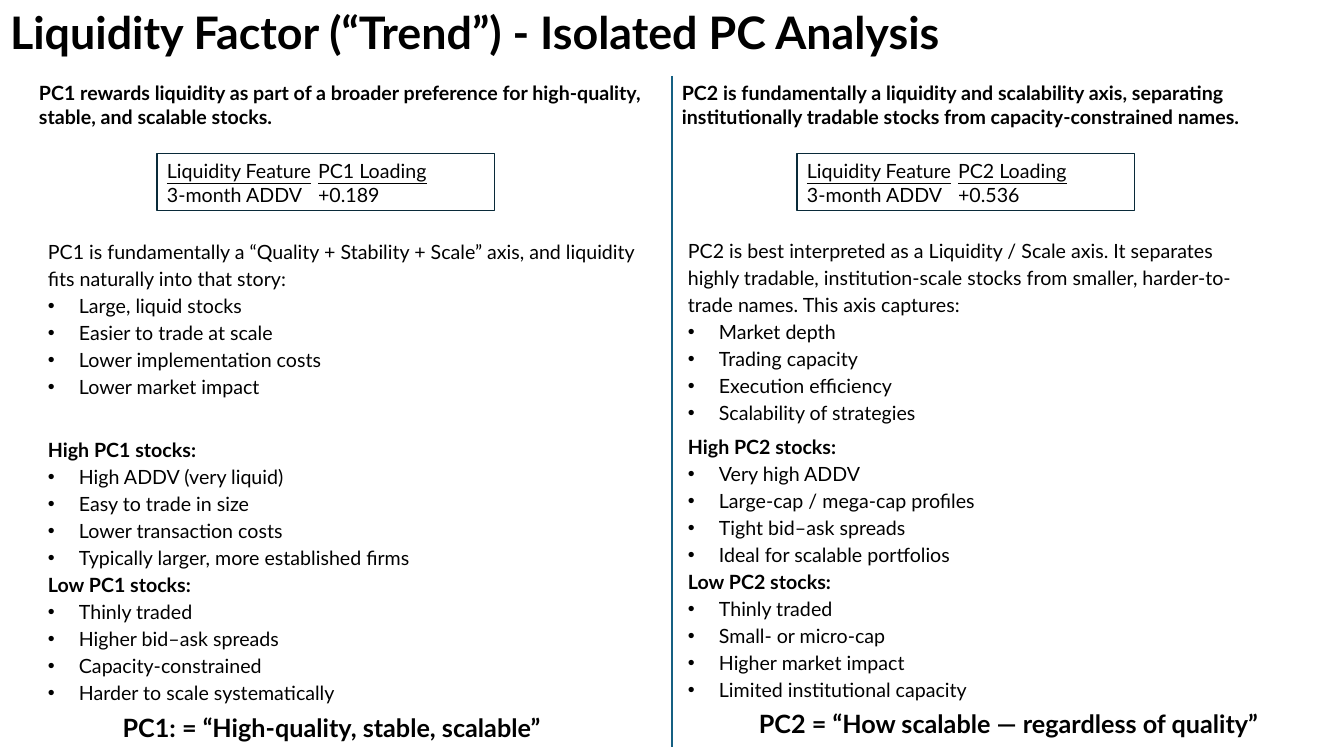
"""Build the slide comparing how PC1 and PC2 load on the liquidity factor."""
import pptx
import pptx.dml.color
import pptx.enum.shapes
import pptx.enum.text
import pptx.oxml
import pptx.util

PX = 914400 / 100.8
FONT = "Lato"
COLORS = {"text": "000000", "frame": "092A39", "divider": "156082"}
BULLET_INDENT = 31
LOOSE = 1.15
ALIGN = pptx.enum.text.PP_ALIGN
ANCHOR = pptx.enum.text.MSO_ANCHOR

PC1 = {
    "claim": ((29, 76, 642, 57),
              "PC1 rewards liquidity as part of a broader preference for "
              "high-quality, stable, and scalable stocks."),
    "loading": ((157, 154, 338, 57), "PC1 Loading", "+0.189"),
    "story": ((38, 231, 614, 172), [
        ("PC1 is fundamentally a “Quality + Stability + Scale” axis, and "
         "liquidity fits naturally into that story:",
         ["Large, liquid stocks", "Easier to trade at scale",
          "Lower implementation costs", "Lower market impact"])]),
    "stocks": ((38, 429, 457, 282), [
        ("High PC1 stocks:",
         ["High ADDV (very liquid)", "Easy to trade in size",
          "Lower transaction costs", "Typically larger, more established firms"]),
        ("Low PC1 stocks:",
         ["Thinly traded", "Higher bid–ask spreads",
          "Capacity-constrained", "Harder to scale systematically"])]),
    "verdict": ((19, 703, 625, 43), "PC1: = “High-quality, stable, scalable”", LOOSE),
}
PC2 = {
    "claim": ((672, 76, 661, 57),
              "PC2 is fundamentally a liquidity and scalability axis, separating "
              "institutionally tradable stocks from capacity-constrained names."),
    "loading": ((797, 154, 338, 57), "PC2 Loading", "+0.536"),
    "story": ((678, 230, 574, 200), [
        ("PC2 is best interpreted as a Liquidity / Scale axis. It separates "
         "highly tradable, institution-scale stocks from smaller, "
         "harder-to-trade names. This axis captures:",
         ["Market depth", "Trading capacity", "Execution efficiency",
          "Scalability of strategies"])]),
    "stocks": ((678, 426, 515, 282), [
        ("High PC2 stocks:",
         ["Very high ADDV", "Large-cap / mega-cap profiles",
          "Tight bid–ask spreads", "Ideal for scalable portfolios"]),
        ("Low PC2 stocks:",
         ["Thinly traded", "Small- or micro-cap",
          "Higher market impact", "Limited institutional capacity"])]),
    "verdict": ((678, 703, 661, 40), "PC2 = “How scalable — regardless of quality”", None),
}


def emu(*lengths):
    return [pptx.util.Emu(round(length * PX)) for length in lengths]


def rgb(name):
    return pptx.dml.color.RGBColor.from_string(COLORS[name])


def write(para, text, size=14, bold=False, underline=False,
          align=ALIGN.LEFT, spacing=None):
    para.text = text
    para.alignment = align
    para.line_spacing = spacing
    for span in para.runs:
        span.font.name = FONT
        span.font.size = pptx.util.Pt(size)
        span.font.bold = bold
        span.font.underline = underline
        span.font.color.rgb = rgb("text")


def add_bullet(para):
    properties = para._p.get_or_add_pPr()
    indent = emu(BULLET_INDENT)[0]
    properties.set("marL", str(indent))
    properties.set("indent", str(-indent))
    for tag, name, value in (("buFont", "typeface", "Arial"), ("buChar", "char", "•")):
        bullet = pptx.oxml.xmlchemy.OxmlElement(f"a:{tag}")
        bullet.set(name, value)
        properties.append(bullet)


def add_box(page, place):
    box = page.shapes.add_textbox(*emu(*place))
    box.text_frame.word_wrap = True
    return box.text_frame


def add_title(page, text):
    title = page.shapes.title
    title.left, title.top, title.width, title.height = emu(0, 0, 990, 65)
    title.text_frame.vertical_anchor = ANCHOR.TOP
    title.text_frame.auto_size = pptx.enum.text.MSO_AUTO_SIZE.NONE
    write(title.text_frame.paragraphs[0], text, size=32, bold=True)


def add_loading(page, place, heading, value):
    box = page.shapes.add_shape(pptx.enum.shapes.MSO_SHAPE.RECTANGLE, *emu(*place))
    box.shadow.inherit = False
    box.fill.background()
    box.line.color.rgb = rgb("frame")
    box.line.width = pptx.util.Pt(0.75)
    frame = box.text_frame
    frame.word_wrap = True
    frame.vertical_anchor = ANCHOR.TOP
    write(frame.paragraphs[0], f"Liquidity Feature\t{heading}", underline=True)
    write(frame.add_paragraph(), f"3-month ADDV\t{value}")


def add_lists(page, place, groups, bold_heads):
    frame = add_box(page, place)
    para = frame.paragraphs[0]
    for number, (head, items) in enumerate(groups):
        if number:
            para = frame.add_paragraph()
        write(para, head, bold=bold_heads, spacing=LOOSE)
        for item in items:
            para = frame.add_paragraph()
            write(para, item, spacing=LOOSE)
            add_bullet(para)


def add_verdict(page, place, text, spacing):
    para = add_box(page, place).paragraphs[0]
    write(para, text, size=18, bold=True, align=ALIGN.CENTER, spacing=spacing)


def add_divider(page):
    line = page.shapes.add_connector(
        pptx.enum.shapes.MSO_CONNECTOR.STRAIGHT, *emu(672, 76, 672, 747))
    line.line.color.rgb = rgb("divider")
    line.line.width = pptx.util.Pt(1.5)
    line._element.spPr.append(pptx.oxml.xmlchemy.OxmlElement("a:effectLst"))


def add_column(page, column):
    place, claim = column["claim"]
    write(add_box(page, place).paragraphs[0], claim, bold=True)
    add_loading(page, *column["loading"])
    add_lists(page, *column["story"], bold_heads=False)
    add_lists(page, *column["stocks"], bold_heads=True)
    add_verdict(page, *column["verdict"])


def main():
    deck = pptx.Presentation()
    deck.slide_width, deck.slide_height = emu(1344, 756)
    page = deck.slides.add_slide(deck.slide_layouts.get_by_name("Title Only"))
    add_title(page, "Liquidity Factor (“Trend”) - Isolated PC Analysis")
    add_divider(page)
    for column in (PC1, PC2):
        add_column(page, column)
    deck.save("out.pptx")


if __name__ == "__main__":
    main()
